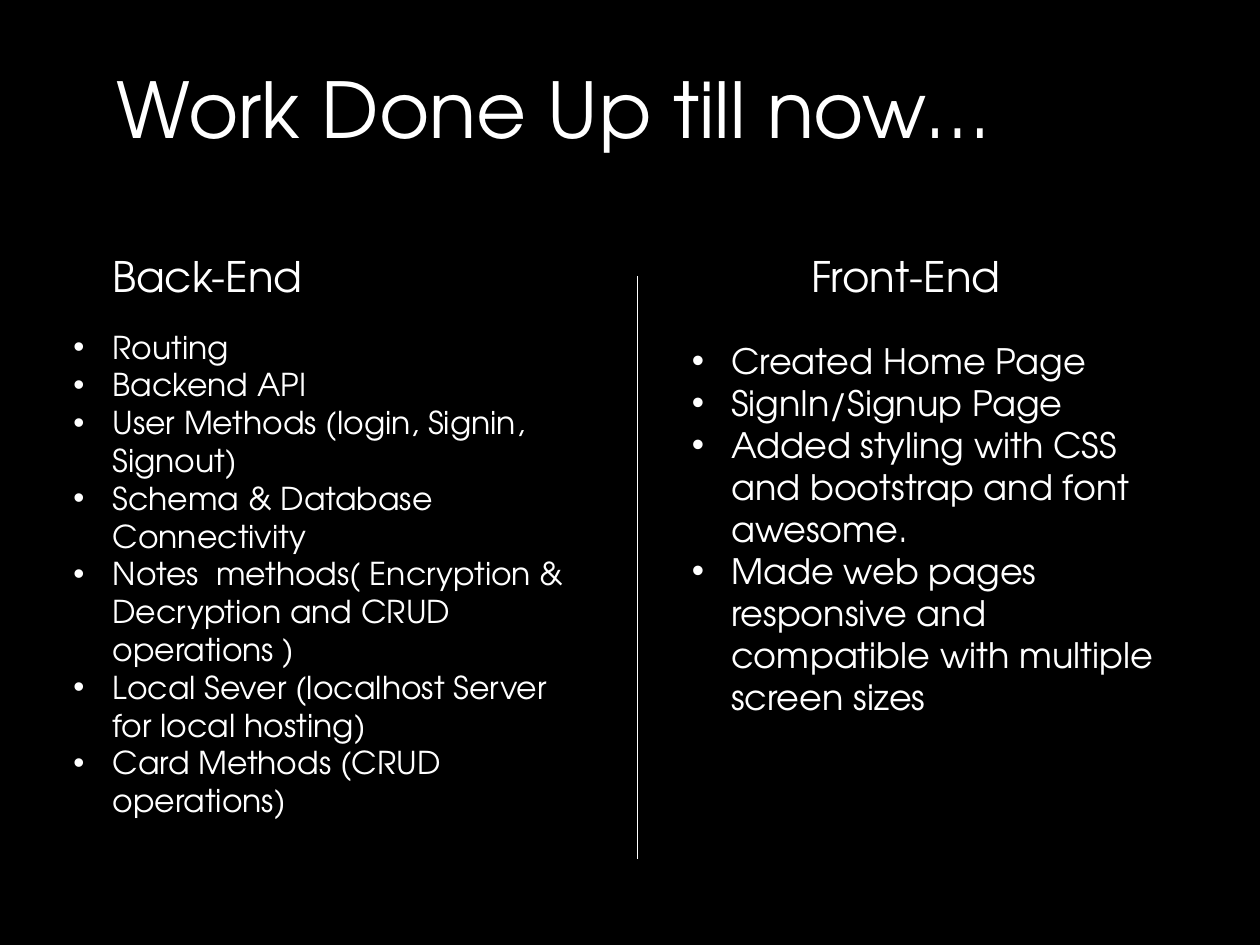
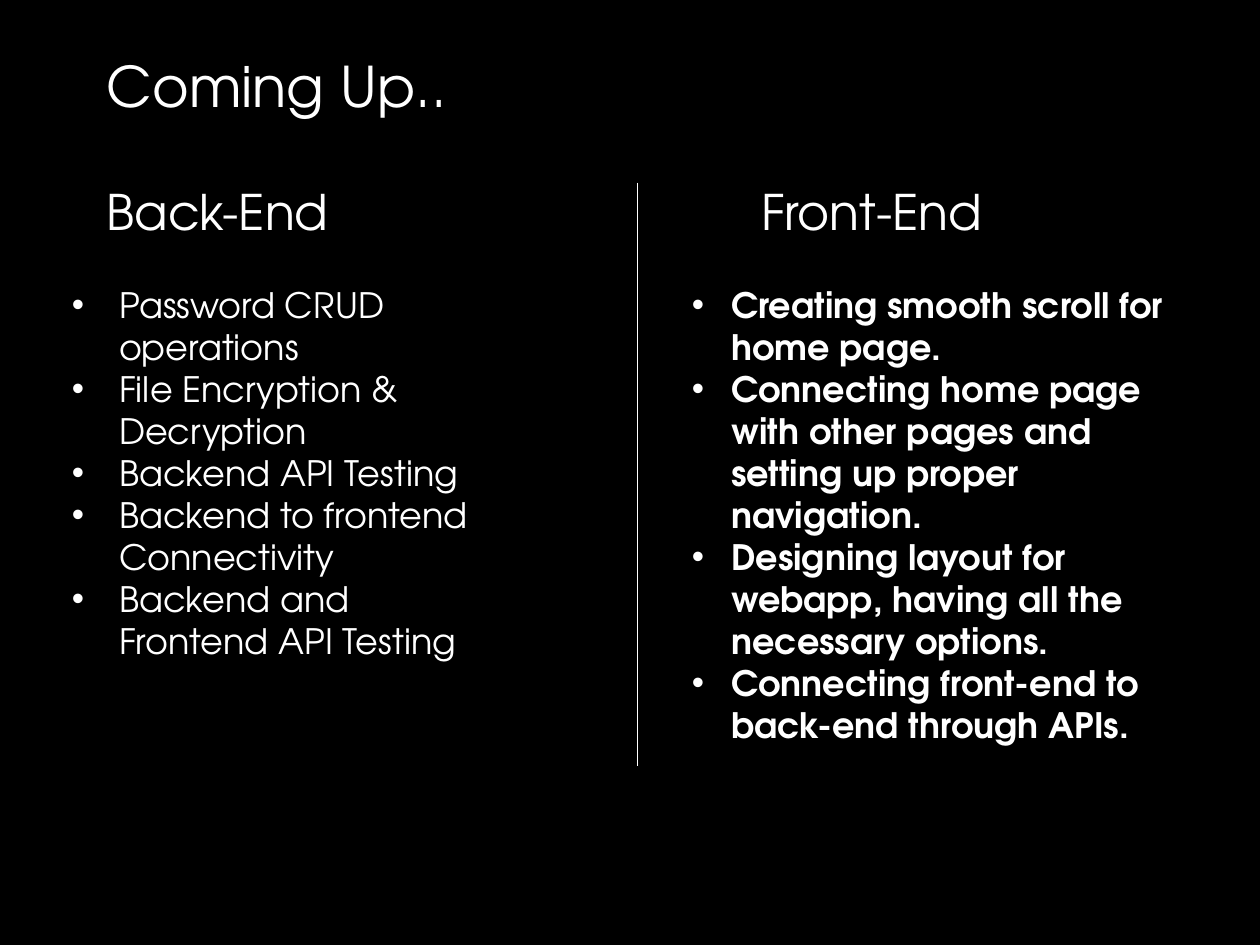
from lxml import etree
from pptx import Presentation
from pptx.dml.color import RGBColor
from pptx.enum.shapes import MSO_CONNECTOR as Connector, MSO_SHAPE as Shape
from pptx.enum.text import MSO_ANCHOR as Anchor, MSO_AUTO_SIZE as AutoSize, PP_ALIGN as Align
from pptx.oxml.ns import qn
from pptx.util import Cm, Pt

BLACK = RGBColor(0x00, 0x00, 0x00)
WHITE = RGBColor(0xFF, 0xFF, 0xFF)
FONT = "TeX Gyre Adventor"
BACKDROP_SIZE = (27.1, 19.53)
DIVIDER_X = 12.85
DIVIDER_LENGTH = 11.76
NARROW, WIDE = 0.79, 0.95  # bullet indents

# Places are left, top, width, height in centimetres.
# A column holds: heading place, list place, list size, indent, bold, items.
SLIDES = [
    {
        "title": "Work Done Up till now…",
        "title_place": (2.1, 1.12, 19.2, 2.13),
        "title_size": 44,
        "heading_size": 24,
        "backdrop_corner": (-0.13, -0.48),
        "divider_top": 5.56,
        "columns": {
            "Back-End": (
                (2.01, 4.93, 7.19, 1.27), (1.23, 6.48, 10.39, 12.57), 18, NARROW, False,
                ["Routing",
                 "Backend API",
                 "User Methods (login, Signin, Signout)",
                 "Schema & Database Connectivity",
                 "Notes  methods( Encryption & Decryption and CRUD operations )",
                 "Local Sever (localhost Server for local hosting)",
                 "Card Methods (CRUD operations)"]),
            "Front-End": (
                (16.1, 4.93, 7.19, 1.27), (13.7, 6.72, 10.01, 7.95), 20, NARROW, False,
                ["Created Home Page",
                 "SignIn/Signup Page",
                 "Added styling with CSS and bootstrap and font awesome.",
                 "Made web pages responsive and compatible with multiple screen sizes"]),
        },
    },
    {
        "title": "Coming Up..",
        "title_place": (1.9, 0.91, 8.61, 1.63),
        "title_size": 32,
        "heading_size": 28,
        "backdrop_corner": (-0.71, -0.41),
        "divider_top": 3.68,
        "columns": {
            "Back-End": (
                (1.9, 3.53, 5.79, 1.45), (1.2, 5.59, 9.19, 7.95), 20, WIDE, False,
                ["Password CRUD operations",
                 "File Encryption & Decryption",
                 "Backend API Testing",
                 "Backend to frontend Connectivity",
                 "Backend and Frontend API Testing"]),
            "Front-End": (
                (15.1, 3.53, 5.79, 1.45), (13.7, 5.59, 10.59, 11.38), 20, NARROW, True,
                ["Creating smooth scroll for home page.",
                 "Connecting home page with other pages and setting up proper navigation.",
                 "Designing layout for webapp, having all the necessary options.",
                 "Connecting front-end to back-end through APIs."]),
        },
    },
]


def write_text(box, place, lines, size, bold=False, indent=None):
    """Place the box and fill it, one paragraph a line; an indent adds bullets."""
    box.left, box.top, box.width, box.height = map(Cm, place)
    frame = box.text_frame
    frame.word_wrap = True
    frame.auto_size = AutoSize.NONE
    frame.vertical_anchor = Anchor.TOP
    for number, line in enumerate(lines):
        para = frame.add_paragraph() if number else frame.paragraphs[0]
        para.alignment = Align.LEFT
        if indent:
            props = para._p.get_or_add_pPr()
            props.set("marL", str(Cm(indent)))
            props.set("indent", str(-Cm(indent)))
            etree.SubElement(props, qn("a:buFont"), typeface="Arial")
            etree.SubElement(props, qn("a:buChar"), char="•")
        span = para.add_run()
        span.text = line
        span.font.name = FONT
        span.font.size = Pt(size)
        span.font.bold = bold
        span.font.color.rgb = WHITE


deck = Presentation()
deck.slide_width, deck.slide_height = Cm(25.4), Cm(19.05)
title_only = deck.slide_layouts[5]

for content in SLIDES:
    page = deck.slides.add_slide(title_only)
    backdrop = page.shapes.add_shape(
        Shape.RECTANGLE, *map(Cm, content["backdrop_corner"] + BACKDROP_SIZE))
    backdrop.shadow.inherit = False
    backdrop.fill.solid()
    backdrop.fill.fore_color.rgb = BLACK
    backdrop.line.color.rgb = BLACK
    backdrop.line.width = Pt(2)
    page.shapes.title._element.addprevious(backdrop._element)  # behind the title
    write_text(page.shapes.title, content["title_place"], [content["title"]],
               content["title_size"])

    top = content["divider_top"]
    divider = page.shapes.add_connector(
        Connector.STRAIGHT, Cm(DIVIDER_X), Cm(top), Cm(DIVIDER_X), Cm(top + DIVIDER_LENGTH))
    divider.line.color.rgb = WHITE
    divider.line.width = Pt(0.75)
    etree.SubElement(divider._element.spPr, qn("a:effectLst"))

    for heading, column in content["columns"].items():
        heading_place, list_place, size, indent, bold, items = column
        heading_box = page.shapes.add_textbox(0, 0, 0, 0)
        write_text(heading_box, heading_place, [heading], content["heading_size"])
        list_box = page.shapes.add_textbox(0, 0, 0, 0)
        write_text(list_box, list_place, items, size, bold, indent)

deck.save("out.pptx")
